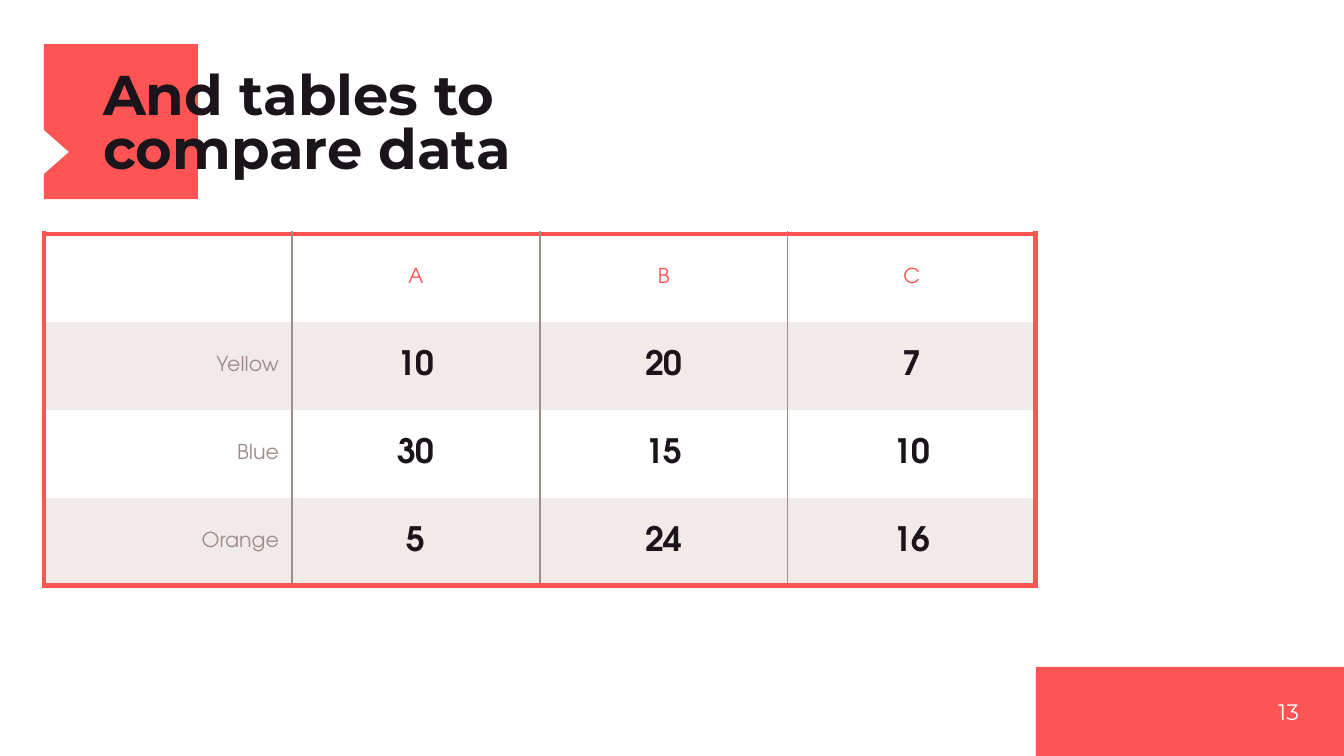
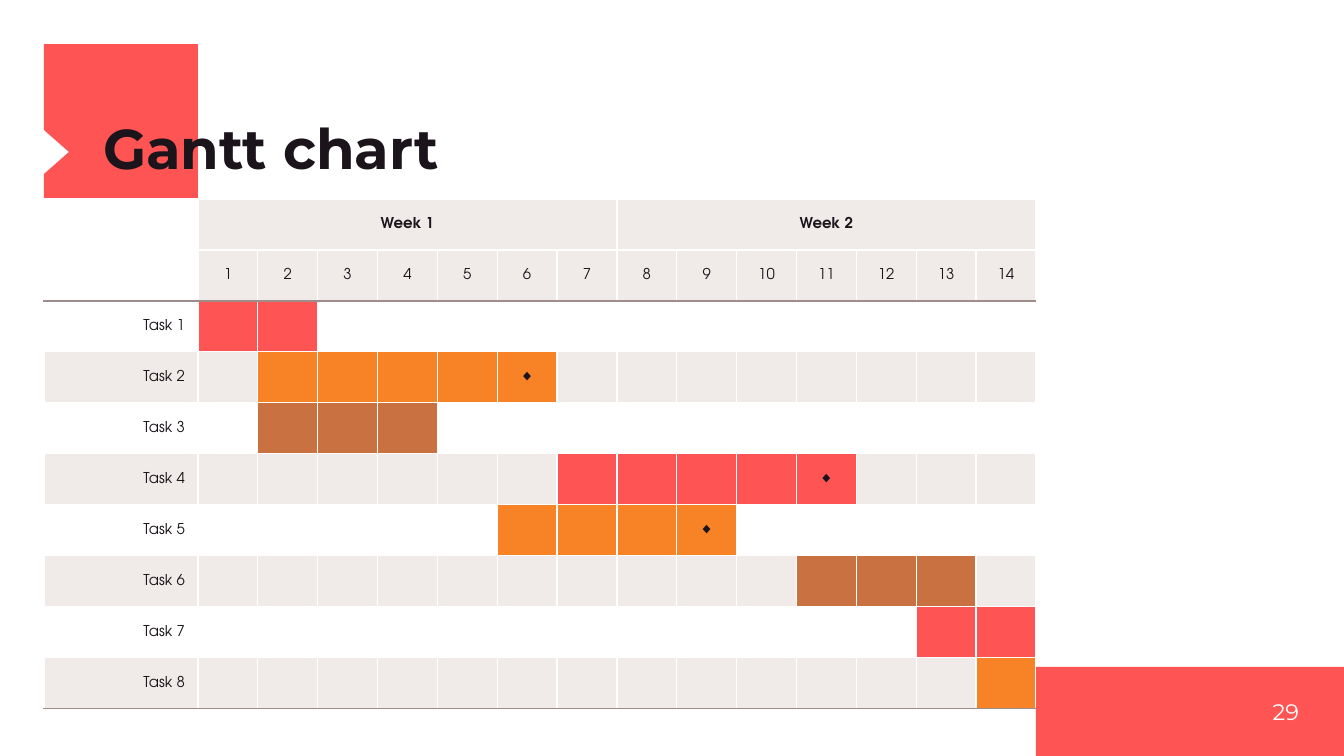
from lxml import etree
from pptx import Presentation
from pptx.dml.color import RGBColor
from pptx.enum.shapes import MSO_SHAPE
from pptx.enum.text import MSO_ANCHOR, MSO_AUTO_SIZE, PP_ALIGN
from pptx.oxml.ns import qn
from pptx.util import Pt

RECT = MSO_SHAPE.RECTANGLE
LEFT, CENTER, RIGHT = PP_ALIGN.LEFT, PP_ALIGN.CENTER, PP_ALIGN.RIGHT
MIDDLE, BOTTOM = MSO_ANCHOR.MIDDLE, MSO_ANCHOR.BOTTOM
NO_FIT = MSO_AUTO_SIZE.NONE

EMU_PER_PX = 914400 / 134.4
TITLE_ONLY = 5
COLORS = {
    "red": "FF5454",
    "orange": "F88326",
    "brown": "C97140",
    "ink": "1B151B",
    "gray": "9E8D8B",
    "stripe": "F0EBE9",
    "white": "FFFFFF",
}
HEAD_FONT, BODY_FONT = "Montserrat", "TeX Gyre Adventor"

TITLE = {"name": HEAD_FONT, "size": 30, "bold": True, "color": "ink"}
NUMBER = {"name": HEAD_FONT, "size": 12, "bold": False, "color": "white"}
COLUMN = {"name": BODY_FONT, "size": 11, "bold": False, "color": "red"}
LABEL = {**COLUMN, "color": "gray"}
VALUE = {"name": BODY_FONT, "size": 18, "bold": True, "color": "ink"}
DAY = {"name": BODY_FONT, "size": 8, "bold": False, "color": "ink"}
WEEK = {**DAY, "bold": True}

FLAG = [(44, 44), (198, 44), (198, 199), (44, 199), (44, 174), (69, 152), (44, 130)]
BADGE = (1036, 667, 308, 89)
TITLE_BOX = (103, 122, 754, 58)
NUMBER_BOX = (1210, 667, 89, 89)

COMPARISON = [
    ["", "A", "B", "C"],
    ["Yellow", "10", "20", "7"],
    ["Blue", "30", "15", "10"],
    ["Orange", "5", "24", "16"],
]
DAYS, WEEK_DAYS = 14, 7
TASK_COLORS = ["red", "orange", "brown"]
TASKS = [
    (1, 2, None),
    (2, 6, 6),
    (2, 4, None),
    (7, 11, 11),
    (6, 9, 9),
    (11, 13, None),
    (13, 14, None),
    (14, 14, None),
]


def px(n):
    return round(n * EMU_PER_PX)


def rgb(name):
    return RGBColor.from_string(COLORS[name])


def place(sp, box):
    for key, n in zip(("left", "top", "width", "height"), box):
        setattr(sp, key, px(n))


def set_text(tf, text, fmt, align, anchor=MIDDLE, margins=(0, 0)):
    frame = {
        "word_wrap": True,
        "auto_size": NO_FIT,
        "vertical_anchor": anchor,
        "margin_left": px(margins[0]),
        "margin_right": px(margins[0]),
        "margin_top": px(margins[1]),
        "margin_bottom": px(margins[1]),
    }
    for key, value in frame.items():
        setattr(tf, key, value)
    write(tf, text, fmt, align)


def write(tf, text, fmt, align):
    tf.text = text
    p = tf.paragraphs[0]
    p.alignment = align
    for r in p.runs:
        font = {**fmt, "size": Pt(fmt["size"])}
        r.font.color.rgb = rgb(font.pop("color"))
        for key, value in font.items():
            setattr(r.font, key, value)


def paint(sp, color):
    sp.shadow.inherit = False
    sp.fill.solid()
    sp.fill.fore_color.rgb = rgb(color)
    sp.line.fill.background()


def add_layout_marks(s):
    builder = s.shapes.build_freeform(*FLAG[0], scale=EMU_PER_PX)
    builder.add_line_segments(FLAG[1:], close=True)
    flag = builder.convert_to_shape()
    badge = s.shapes.add_shape(RECT, *map(px, BADGE))
    for sp in (flag, badge):
        paint(sp, "red")
        s.slide_layout.shapes.element.append(sp.element)


def add_title(s, text):
    sp = s.shapes.title
    place(sp, TITLE_BOX)
    set_text(sp.text_frame, text, TITLE, LEFT, BOTTOM)
    sp.text_frame.paragraphs[0].line_spacing = 0.8


def add_number(s, n):
    sp = s.shapes.add_textbox(*map(px, NUMBER_BOX))
    set_text(sp.text_frame, str(n), NUMBER, RIGHT)


def add_grid(s, left, top, widths, heights):
    box = (left, top, sum(widths), sum(heights))
    table = s.shapes.add_table(len(heights), len(widths), *map(px, box)).table
    table.first_row = table.horz_banding = False
    for col, w in zip(table.columns, widths):
        col.width = px(w)
    for row, h in zip(table.rows, heights):
        row.height = px(h)
    return table


def set_borders(cell, borders):
    tcPr = cell._tc.get_or_add_tcPr()
    for side in "LRTB":
        ln = etree.SubElement(tcPr, qn(f"a:ln{side}"))
        if side not in borders:
            etree.SubElement(ln, qn("a:noFill"))
            continue
        color, width = borders[side]
        ln.set("w", str(Pt(width)))
        fill = etree.SubElement(ln, qn("a:solidFill"))
        etree.SubElement(fill, qn("a:srgbClr"), val=COLORS[color])


def set_cell(cell, text, fmt, align, fill, borders, margins):
    cell.vertical_anchor = MIDDLE
    cell.margin_left = cell.margin_right = px(margins[0])
    cell.margin_top = cell.margin_bottom = px(margins[1])
    write(cell.text_frame, text, fmt, align)
    if not text:
        p = cell._tc.find(".//" + qn("a:p"))
        etree.SubElement(p, qn("a:endParaRPr"), sz=str(fmt["size"] * 100))
    set_borders(cell, borders)
    if fill:
        cell.fill.solid()
        cell.fill.fore_color.rgb = rgb(fill)
    else:
        cell.fill.background()


def add_comparison(s):
    last = len(COMPARISON) - 1
    frame, rule = ("red", 3), ("gray", 0.75)
    table = add_grid(s, 44, 234, [248] * 4, [88] * 4)
    for i, row in enumerate(COMPARISON):
        for j, text in enumerate(row):
            borders = {"L": rule if j else frame, "R": rule if j < last else frame}
            if i == 0:
                borders["T"] = frame
            if i == last:
                borders["B"] = frame
            fmt = COLUMN if i == 0 else VALUE if j else LABEL
            set_cell(table.cell(i, j), text, fmt, CENTER if j else RIGHT,
                     "stripe" if i % 2 else None, borders, (13, 10))


def gantt_cell(i, day):
    if i == 0:
        week = day // WEEK_DAYS + 1
        return f"Week {week}" if day % WEEK_DAYS == 1 else "", "stripe" if day else None
    if i == 1:
        return (str(day), "stripe") if day else ("", None)
    task = i - 2
    first, final, milestone = TASKS[task]
    if day == 0:
        text = f"Task {task + 1}"
    else:
        text = "◆" if day == milestone else ""
    if first <= day <= final:
        return text, TASK_COLORS[task % len(TASK_COLORS)]
    return text, "stripe" if task % 2 else None


def add_gantt(s):
    rows = len(TASKS) + 2
    gap, rule = ("white", 0.75), ("gray", 0.75)
    table = add_grid(s, 44, 199, [154] + [838 / DAYS] * DAYS, [51] * rows)
    for i in range(rows):
        for day in range(DAYS + 1):
            text, fill = gantt_cell(i, day)
            borders = dict.fromkeys("LRTB", gap)
            if i == 2:
                borders["T"] = rule
            if i in (1, rows - 1):
                borders["B"] = rule
            set_cell(table.cell(i, day), text, DAY if i else WEEK,
                     CENTER if day else RIGHT, fill, borders, (13, 7))
    for day in range(1, DAYS, WEEK_DAYS):
        table.cell(0, day).merge(table.cell(0, day + WEEK_DAYS - 1))


def main():
    prs = Presentation()
    prs.slide_width, prs.slide_height = px(1344), px(756)
    layout = prs.slide_layouts[TITLE_ONLY]

    s = prs.slides.add_slide(layout)
    add_layout_marks(s)
    add_title(s, "And tables to\vcompare data")
    add_comparison(s)
    add_number(s, 13)

    s = prs.slides.add_slide(layout)
    add_title(s, "Gantt chart")
    add_number(s, 29)
    add_gantt(s)

    prs.save("out.pptx")


if __name__ == "__main__":
    main()
